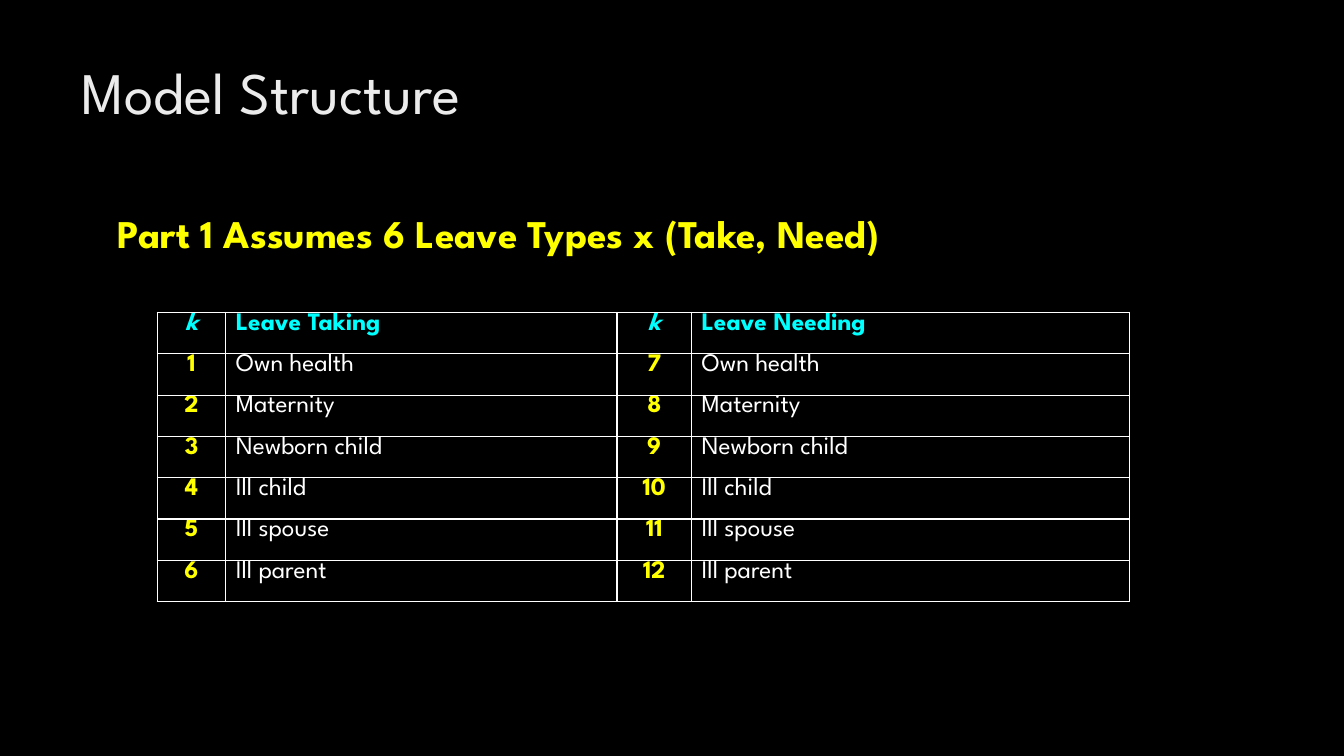
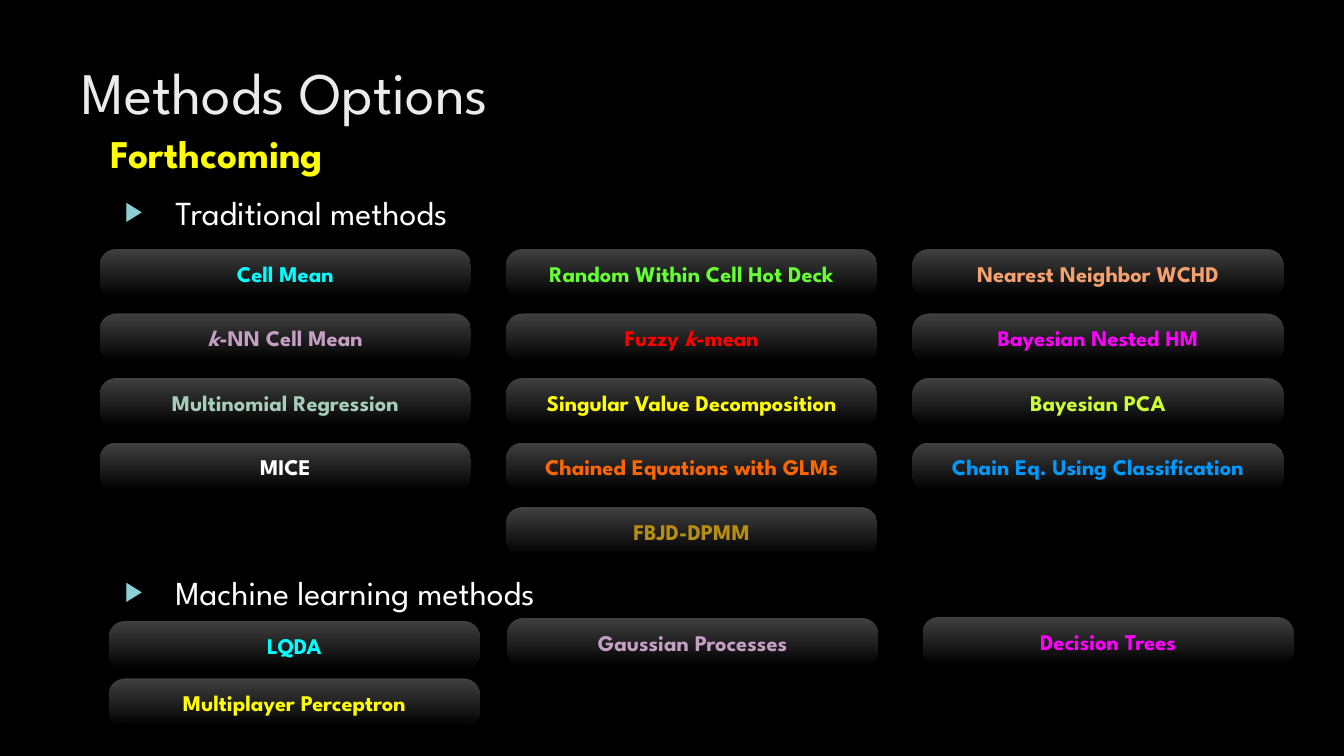
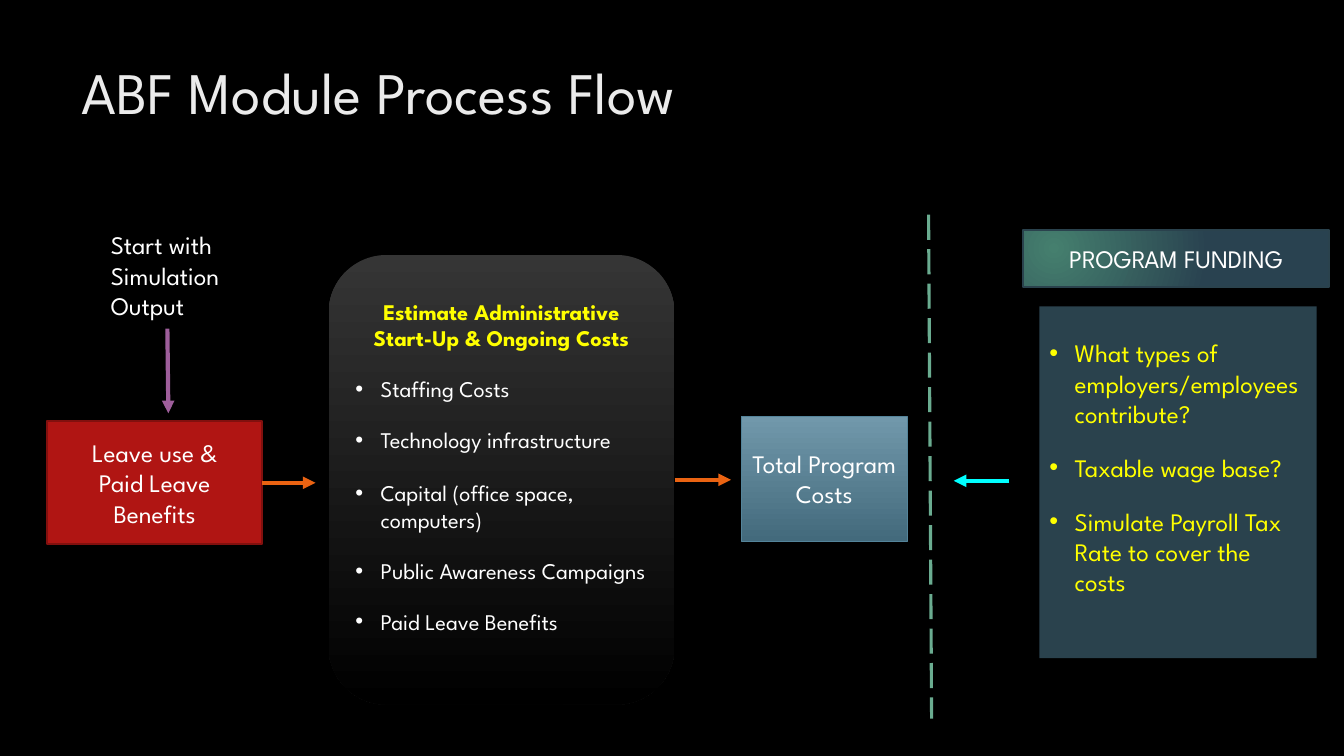
import dataclasses

import lxml.etree
import pptx
import pptx.dml.color
import pptx.enum.dml
import pptx.enum.shapes
import pptx.enum.text
import pptx.oxml.ns
import pptx.util

qn = pptx.oxml.ns.qn
Align = pptx.enum.text.PP_ALIGN
Anchor = pptx.enum.text.MSO_ANCHOR
Shape = pptx.enum.shapes.MSO_SHAPE
Pt = pptx.util.Pt


@dataclasses.dataclass(frozen=True)
class Theme:
    font: str = "League Spartan"
    # Type sizes
    title: int = 42
    head: int = 28
    list: int = 24
    text: int = 18
    small: int = 16
    # Colours
    black: str = "000000"
    white: str = "FFFFFF"
    pale: str = "EBEBEB"
    yellow: str = "FFFF00"
    cyan: str = "00FFFF"
    pink: str = "FF00FF"
    mauve: str = "C59EC3"
    orange: str = "EA6312"
    purple: str = "9E5E9B"
    green: str = "6AAC90"
    aqua: str = "8AD0D6"
    red: str = "B01513"
    maroon: str = "82100E"
    slate: str = "2A424D"
    steel: str = "54849A"
    # Gradients, first to last stop
    key: tuple = ("404040", "000000")
    panel: tuple = ("353535", "000000")
    sky: tuple = ("7198AB", "436A7C")
    pine: tuple = ("457F6E", "294250")


T = Theme()


def px(n):
    """100 px to the inch."""
    return pptx.util.Emu(n * 9144)


def rgb(code):
    return pptx.dml.color.RGBColor.from_string(code)


def add(node, tag, **attrs):
    return lxml.etree.SubElement(node, qn(tag), **attrs)


# Text

def write(frame, text, size=T.text, color=T.white, bold=False, align=Align.LEFT,
          before=0, after=0, left=0, hang=0, mark=None, tint=None):
    """Add one paragraph; words between asterisks are italic."""
    para = frame.paragraphs[0]
    if para.runs:
        para = frame.add_paragraph()
    para.alignment = align
    para.space_before, para.space_after = Pt(before), Pt(after)
    props = para._p.get_or_add_pPr()
    props.set("marL", str(px(left)))
    props.set("indent", str(px(-hang)))
    if tint:
        add(add(props, "a:buClr"), "a:srgbClr", val=tint)
        add(props, "a:buSzPct", val="80000")
    if mark:
        add(props, "a:buFont", typeface="Arial")
        add(props, "a:buChar", char=mark)
    else:
        add(props, "a:buNone")
    for i, part in enumerate(text.split("*")):
        if part:
            run = para.add_run()
            run.text = part
            font = run.font
            font.name, font.size, font.bold = T.font, Pt(size), bold
            font.italic = i % 2 == 1
            font.color.rgb = rgb(color)


def place(shape, x, y, w, h):
    shape.left, shape.top, shape.width, shape.height = map(px, (x, y, w, h))


def page(deck, title, head=None, spot=None):
    """Add a slide with its title and, if given, a yellow heading."""
    slide = deck.slides.add_slide(deck.slide_layouts[1 if head else 5])
    place(slide.shapes.title, 71, 50, 1029, 153)
    frames = [slide.shapes.title.text_frame]
    write(frames[0], title, size=T.title, color=T.pale)
    if head:
        body = slide.placeholders[1]
        place(body, *spot, 920, 81)
        frames.append(body.text_frame)
        write(frames[1], head, size=T.head, color=T.yellow, bold=True,
              before=8.4, after=8.4, left=12)
    for frame in frames:
        frame.vertical_anchor = Anchor.TOP
        frame.auto_size = pptx.enum.text.MSO_AUTO_SIZE.NONE
    return slide


def label(slide, text, x, y, w, h, **style):
    frame = slide.shapes.add_textbox(*map(px, (x, y, w, h))).text_frame
    frame.word_wrap = True
    write(frame, text, **style)


# Shapes

def box(slide, x, y, w, h, fill, kind=Shape.RECTANGLE, edge=None, width=1.5):
    """Draw a box; a pair of colours gives a gradient from top to bottom."""
    shape = slide.shapes.add_shape(kind, *map(px, (x, y, w, h)))
    shape.shadow.inherit = False
    if isinstance(fill, tuple):
        shape.fill.gradient()
        shape.fill.gradient_angle = 270
        for stop, color in zip(shape.fill.gradient_stops, fill):
            stop.color.rgb = rgb(color)
    else:
        shape.fill.solid()
        shape.fill.fore_color.rgb = rgb(fill)
    if edge:
        shape.line.color.rgb = rgb(edge)
        shape.line.width = Pt(width)
    else:
        shape.line.fill.background()
    shape.text_frame.word_wrap = True
    shape.text_frame.vertical_anchor = Anchor.MIDDLE
    return shape


def glow(shape):
    """Turn a box's gradient into a round one."""
    grad = shape._element.spPr.find(qn("a:gradFill"))
    grad.remove(grad.find(qn("a:lin")))
    ring = add(grad, "a:path", path="circle")
    add(ring, "a:fillToRect", l="45000", t="65000", r="125000", b="100000")


def key(slide, text, color, x, y):
    shape = box(slide, x, y, 368, 48, T.key, kind=Shape.ROUNDED_RECTANGLE)
    shape.adjustments[0] = 0.34
    write(shape.text_frame, text, size=T.small, color=color, bold=True,
          align=Align.CENTER)


def link(slide, start, end, color, width=3, arrow=True, source=None):
    """Draw a line, joined to the right side of source if given."""
    line = slide.shapes.add_connector(
        pptx.enum.shapes.MSO_CONNECTOR.STRAIGHT, *map(px, start + end))
    if source:
        line.begin_connect(source, 3)
    line.line.color.rgb = rgb(color)
    line.line.width = Pt(width)
    props = line._element.spPr
    if arrow:
        add(props.find(qn("a:ln")), "a:tailEnd", type="triangle")
    else:
        line.line.dash_style = pptx.enum.dml.MSO_LINE.LONG_DASH
    add(props, "a:effectLst")


# Table

def border(cell):
    props = cell._tc.get_or_add_tcPr()
    for side in "LRTB":
        line = add(props, "a:ln" + side, w=str(Pt(1)))
        add(add(line, "a:solidFill"), "a:srgbClr", val=T.white)


def grid(slide, x, y, widths, high, rows):
    """Draw a table whose even columns hold centred numbers."""
    table = slide.shapes.add_table(
        len(rows), len(widths), px(x), px(y), px(sum(widths)),
        px(high * len(rows))).table
    for col, width in zip(table.columns, widths):
        col.width = px(width)
    for r, row in enumerate(rows):
        table.rows[r].height = px(high)
        for c, text in enumerate(row):
            cell = table.cell(r, c)
            cell.margin_top = cell.margin_bottom = 0
            border(cell)
            cell.fill.solid()
            cell.fill.fore_color.rgb = rgb(T.black)
            count = c % 2 == 0
            color = T.cyan if r == 0 else T.yellow if count else T.white
            write(cell.text_frame, text, color=color, bold=r == 0 or count,
                  align=Align.CENTER if count else Align.LEFT)


# Slides

def model(deck):
    slide = page(deck, "Model Structure",
                 "Part 1 Assumes 6 Leave Types x (Take, Need)", (95, 203))
    types = ["Own health", "Maternity", "Newborn child", "Ill child",
             "Ill spouse", "Ill parent"]
    rows = [["*k*", "Leave Taking", "*k*", "Leave Needing"]]
    rows += [[str(n), name, str(n + len(types)), name]
             for n, name in enumerate(types, 1)]
    grid(slide, 156, 310, [68, 388, 74, 434], 41, rows)


def methods(deck):
    slide = page(deck, "Methods Options", "Forthcoming", (88, 123))
    for text, y in [("Traditional methods", 185),
                    ("Machine learning methods", 562)]:
        label(slide, text, 114, y, 549, 50, size=T.list, before=8.4, after=8.4,
              left=50, hang=50, mark="▶", tint=T.aqua)
    # Traditional methods, row by row
    rows = [
        [("Cell Mean", T.cyan), ("Random Within Cell Hot Deck", "66FF33"),
         ("Nearest Neighbor WCHD", "F4A16F")],
        [("*k*-NN Cell Mean", T.mauve), ("Fuzzy *k*-mean", "FF0000"),
         ("Bayesian Nested HM", T.pink)],
        [("Multinomial Regression", "A6CDBC"),
         ("Singular Value Decomposition", T.yellow),
         ("Bayesian PCA", "CCFF33")],
        [("MICE", T.white), ("Chained Equations with GLMs", "FF6600"),
         ("Chain Eq. Using Classification", "0099FF")],
        [None, ("FBJD-DPMM", "B68E15")],
    ]
    for r, row in enumerate(rows):
        for c, item in enumerate(row):
            if item:
                key(slide, *item, 99 + 403 * c, 247 + 64 * r)
    # Machine learning methods
    for item in [("LQDA", T.cyan, 108, 616),
                 ("Gaussian Processes", T.mauve, 503, 613),
                 ("Decision Trees", T.pink, 915, 612),
                 ("Multiplayer Perceptron", T.yellow, 108, 673)]:
        key(slide, *item)


def flow(deck):
    slide = page(deck, "ABF Module Process Flow")
    # Start
    label(slide, "Start with Simulation Output", 100, 223, 161, 101)
    leave = box(slide, 47, 418, 213, 122, T.red, edge=T.maroon)
    for text in ["Leave use &", "Paid Leave Benefits"]:
        write(leave.text_frame, text, align=Align.CENTER)
    link(slide, (166, 326), (167, 410), T.purple)
    # Costs
    costs = box(slide, 326, 253, 343, 446, T.panel,
                kind=Shape.ROUNDED_RECTANGLE)
    costs.text_frame.margin_bottom = px(32)
    write(costs.text_frame, "Estimate Administrative Start-Up & Ongoing Costs",
          size=T.small, color=T.yellow, bold=True, align=Align.CENTER)
    for text, gap in [("Staffing Costs", 17), ("Technology infrastructure", 17),
                      ("Capital (office space, computers)", 19),
                      ("Public Awareness Campaigns", 17),
                      ("Paid Leave Benefits", 17)]:
        write(costs.text_frame, text, size=T.small, before=gap,
              left=25, hang=25, mark="•")
    link(slide, (260, 479), (313, 479), T.orange, source=leave)
    # Total
    total = box(slide, 735, 413, 165, 124, T.sky, edge=T.steel, width=0.75)
    write(total.text_frame, "Total Program Costs", align=Align.CENTER)
    link(slide, (669, 476), (725, 476), T.orange, source=costs)
    # Funding
    link(slide, (921, 213), (924, 713), T.green, width=2.25, arrow=False)
    banner = box(slide, 1015, 228, 303, 57, T.pine, edge=T.slate)
    glow(banner)
    write(banner.text_frame, "PROGRAM FUNDING", align=Align.CENTER)
    fund = box(slide, 1031, 304, 275, 349, T.slate)
    fund.text_frame.margin_bottom = px(35)
    for text in ["What types of employers/employees contribute?",
                 "Taxable wage base?",
                 "Simulate Payroll Tax Rate to cover the costs"]:
        write(fund.text_frame, text, color=T.yellow, before=17,
              left=25, hang=25, mark="•")
    link(slide, (1001, 477), (946, 477), T.cyan)


def main():
    deck = pptx.Presentation()
    deck.slide_width, deck.slide_height = px(1333), px(750)
    back = deck.slide_master.background.fill
    back.solid()
    back.fore_color.rgb = rgb(T.black)
    model(deck)
    methods(deck)
    flow(deck)
    deck.save("out.pptx")


if __name__ == "__main__":
    main()
